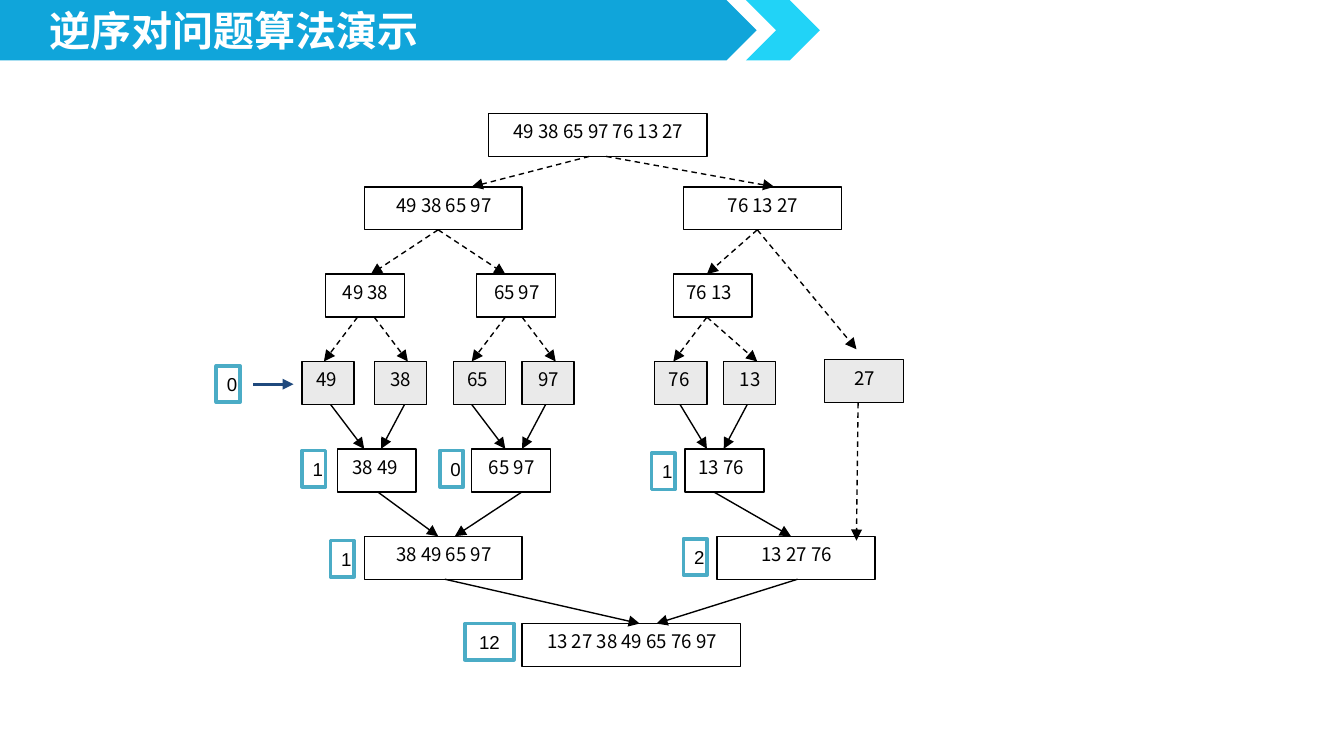
from typing import NamedTuple

from lxml import etree
from pptx import Presentation, util as u
from pptx.dml.color import RGBColor
from pptx.enum import dml, shapes, text
from pptx.oxml.ns import qn

SANS = "Noto Sans CJK SC"
COL, ROW = 0.125, 0.65  # grid pitch in inches
TALL = 0.32  # height of a list box
WIDE, HALF, PAIR, ONE = 13, 9.4, 4.7, 3.1  # box widths in columns


class Box(NamedTuple):
    """A list of numbers on the grid."""
    col: float
    row: float
    width: float
    label: str
    fill: str = "FFFFFF"
    align: text.PP_ALIGN = text.PP_ALIGN.CENTER


class Count(NamedTuple):
    """The number of inversions found in a merge."""
    col: float
    row: float
    label: str
    width: float = 1.4


class Step(NamedTuple):
    """An arrow from below one row to the top of a later one."""
    start: float
    end: float
    row: float
    dash: bool = False
    stop: float = 0  # 0 means the next row


GRAY, JUST = "EAEAEA", text.PP_ALIGN.JUSTIFY
BOXES = [
    Box(29, 0.16, WIDE, "49 38 65 97 76 13 27"),
    Box(21.6, 1, HALF, "49 38 65 97"),
    Box(40.6, 1, HALF, "76 13 27"),
    Box(19.3, 2, PAIR, "49 38"),
    Box(28.3, 2, PAIR, "65 97"),
    Box(40, 2, PAIR, "76 13", align=JUST),
    Box(17.9, 3, ONE, "49 ", GRAY),
    Box(22.2, 3, ONE, "38", GRAY),
    Box(26.9, 3, ONE, "65 ", GRAY),
    Box(31, 3, ONE, "97", GRAY),
    Box(38.9, 3, ONE, "76 ", GRAY),
    Box(43, 3, ONE, "13", GRAY),
    Box(49, 2.98, PAIR, "27", GRAY),
    Box(20, 4, PAIR, "38 49 "),
    Box(28, 4, PAIR, "65 97"),
    Box(40.7, 4, PAIR, "13 76 ", align=JUST),
    Box(21.6, 5, HALF, "38 49 65 97"),
    Box(42.6, 5, HALF, "13 27 76"),
    Box(31, 6, WIDE, "13 27 38 49 65 76 97"),
]
COUNTS = [
    Count(12.8, 3.05, "0"), Count(17.9, 4.02, "1"), Count(26.1, 4.02, "0"),
    Count(38.7, 4.05, "1"), Count(19.6, 5.05, "1"), Count(40.6, 5.03, "2"),
    Count(27.6, 6, "12", 2.9),
]
STEPS = [
    Step(35, 28, 0.16, True), Step(36, 46, 0.16, True),
    Step(26, 22, 1, True), Step(26, 30, 1, True),
    Step(45, 42, 1, True), Step(45, 50.9, 1, True, 2.86),
    Step(21.2, 19.2, 2, True), Step(22.2, 24.2, 2, True),
    Step(30, 28, 2, True), Step(31, 33, 2, True),
    Step(42, 40, 2, True), Step(42, 45, 2, True),
    Step(19.6, 21.6, 3), Step(24, 22.6, 3),
    Step(28, 30, 3), Step(32.4, 31, 3),
    Step(40.4, 42, 3), Step(44.4, 43, 3),
    Step(51, 50.9, 2.98, True, 5.05),
    Step(22.4, 26, 4), Step(31, 27, 4), Step(42.4, 47, 4),
    Step(26.4, 38, 5), Step(47.4, 39, 5),
]


def left(col: float) -> float:
    return 0.01 + COL * col


def top(row: float) -> float:
    return 0.74 + ROW * row


def tint(code: str) -> RGBColor:
    return RGBColor.from_string(code)


def shape(slide, kind, x: float, y: float, w: float, h: float, fill: str,
          edge: str = "", size: float = 0.75):
    item = slide.shapes.add_shape(kind, *map(u.Inches, (x, y, w, h)))
    item.shadow.inherit = False
    item.fill.solid()
    item.fill.fore_color.rgb = tint(fill)
    if edge:
        item.line.color.rgb = tint(edge)
        item.line.width = u.Pt(size)
    else:
        item.line.fill.background()
    return item


def write(item, label: str, face: str, size: float, color: str, align,
          pads: tuple, anchor=text.MSO_ANCHOR.TOP, wrap: bool = True):
    """Fill a shape with one paragraph; pads run left, top, right, bottom."""
    frame = item.text_frame
    frame.text = label
    frame.word_wrap = wrap
    frame.auto_size = text.MSO_AUTO_SIZE.NONE
    frame.vertical_anchor = anchor
    frame.margin_left, frame.margin_top, frame.margin_right, frame.margin_bottom = \
        map(u.Inches, pads)
    para = frame.paragraphs[0]
    para.alignment = align
    para.font.name, para.font.size = face, u.Pt(size)
    para.font.color.rgb = tint(color)
    for props in item.element.iter(qn("a:defRPr")):
        etree.SubElement(props, qn("a:ea"), typeface=face)
    return para


def arrow(slide, x1: float, y1: float, x2: float, y2: float,
          color: str = "000000", size: float = 0.75, dash: bool = False):
    item = slide.shapes.add_connector(
        shapes.MSO_CONNECTOR.STRAIGHT, *map(u.Inches, (x1, y1, x2, y2)))
    item.line.color.rgb = tint(color)
    item.line.width = u.Pt(size)
    if dash:
        item.line.dash_style = dml.MSO_LINE.DASH
    props = item.element.spPr
    etree.SubElement(props.find(qn("a:ln")), qn("a:tailEnd"), type="triangle")
    etree.SubElement(props, qn("a:effectLst"))


def banner(slide):
    kinds = shapes.MSO_SHAPE
    shape(slide, kinds.PENTAGON, 0, 0, 5.63, 0.45, "10A5DA")
    shape(slide, kinds.CHEVRON, 5.55, 0, 0.55, 0.45, "21D3F7")
    title = slide.shapes.title
    title.left, title.top, title.width, title.height = map(
        u.Inches, (0.27, 0.06, 2.98, 0.4))
    para = write(title, "逆序对问题算法演示", SANS, 22, "FFFFFF",
                 text.PP_ALIGN.LEFT, (0.1, 0.05, 0.1, 0.05), wrap=False)
    para.font.bold = True
    para.line_spacing = 0.8
    title.element.getparent().append(title.element)  # bring to front


def main():
    deck = Presentation()
    deck.slide_width = u.Inches(10)
    deck.slide_height = deck.slide_width * 9 // 16
    slide = deck.slides.add_slide(deck.slide_layouts[5])
    rect = shapes.MSO_SHAPE.RECTANGLE
    banner(slide)
    for box in BOXES:
        item = shape(slide, rect, left(box.col), top(box.row),
                     COL * box.width, TALL, box.fill, "000000")
        write(item, box.label, SANS, 10, "000000", box.align,
              (0.1, 0.05, 0.09, 0.05))
    for step in STEPS:
        stop = step.stop or int(step.row) + 1
        arrow(slide, left(step.start), top(step.row) + TALL,
              left(step.end), top(stop), dash=step.dash)
    for count in COUNTS:
        item = shape(slide, rect, left(count.col), top(count.row),
                     COL * count.width, 0.27, "FFFFFF", "4BACC6", 2)
        pad = 0.06 if len(count.label) == 1 else 0
        write(item, count.label, "Arial", 10, "000000", text.PP_ALIGN.CENTER,
              (pad, 0, 0, 0), text.MSO_ANCHOR.MIDDLE)
    arrow(slide, left(15), top(3.26), left(17.4), top(3.26), "1F497D", 1.5)
    deck.save("out.pptx")


if __name__ == "__main__":
    main()
